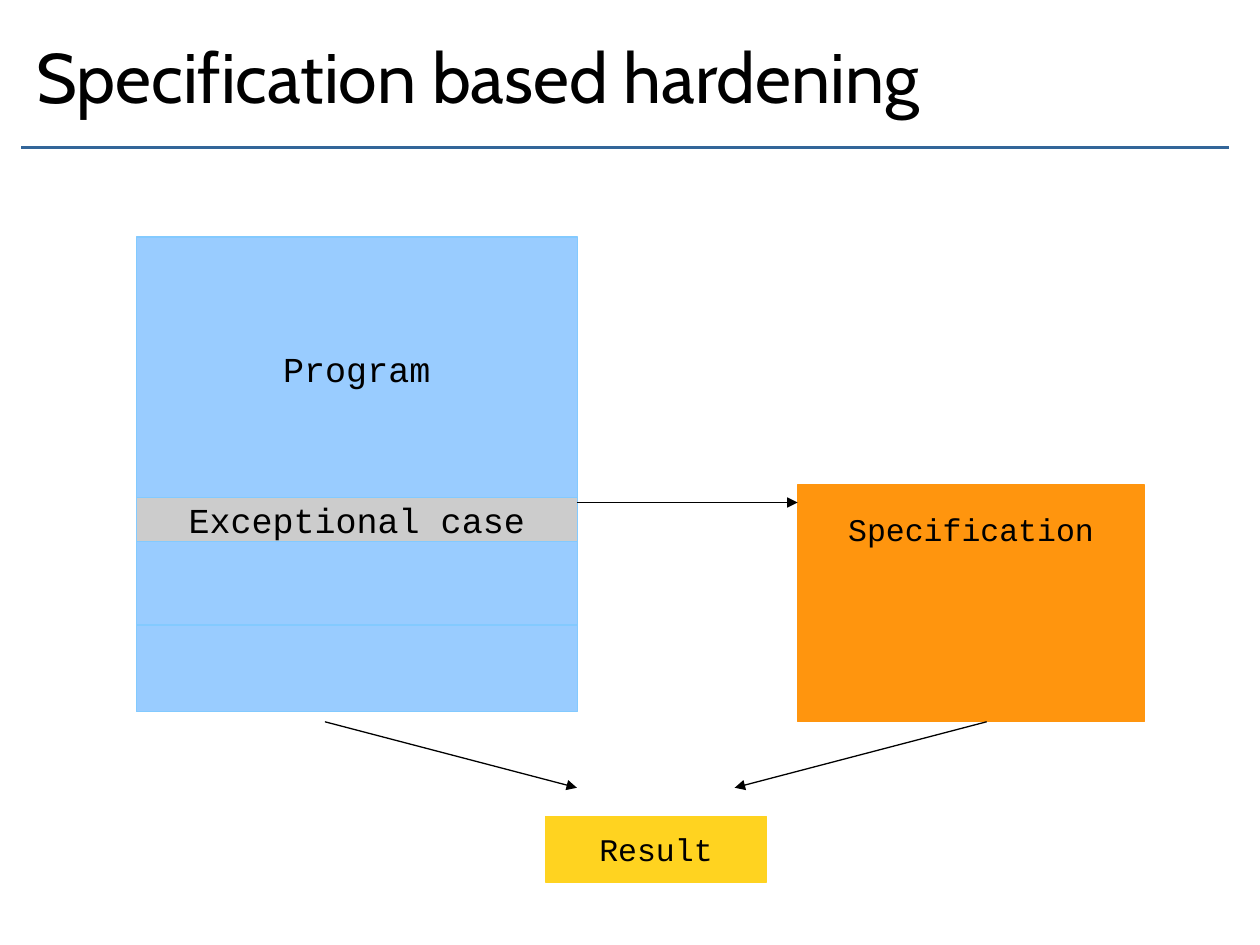
from dataclasses import dataclass

from lxml import etree
from pptx import Presentation
from pptx.dml.color import RGBColor
from pptx.enum.shapes import MSO_CONNECTOR, MSO_SHAPE
from pptx.enum.text import MSO_ANCHOR, PP_ALIGN
from pptx.oxml.ns import qn
from pptx.util import Cm, Pt

RECT = MSO_SHAPE.RECTANGLE
STRAIGHT = MSO_CONNECTOR.STRAIGHT
MIDDLE = MSO_ANCHOR.MIDDLE
CENTER = PP_ALIGN.CENTER


@dataclass(frozen=True)
class Theme:
    black: str = "000000"
    rule: str = "336699"
    blue: str = "99CCFF"
    blue_edge: str = "83CAFF"
    grey: str = "CCCCCC"
    orange: str = "FF950E"
    yellow: str = "FFD320"
    title_font: str = "Cabin"
    label_font: str = "Courier New"
    title_size: int = 40
    large: int = 20
    small: int = 18


theme = Theme()


def write(sp, text, font, size):
    tf = sp.text_frame
    tf.vertical_anchor = MIDDLE
    p = tf.paragraphs[0]
    p.text = text
    p.font.name = font
    p.font.size = Pt(size)
    p.font.color.rgb = RGBColor.from_string(theme.black)
    return p


def add_line(x1, y1, x2, y2, color, width, arrow=False):
    c = s.shapes.add_connector(STRAIGHT, Cm(x1), Cm(y1), Cm(x2), Cm(y2))
    c.line.color.rgb = RGBColor.from_string(color)
    c.line.width = Pt(width)
    if arrow:
        etree.SubElement(c.line._get_or_add_ln(), qn("a:tailEnd"), type="triangle")
    etree.SubElement(c._element.spPr, qn("a:effectLst"))


prs = Presentation()
prs.slide_width, prs.slide_height = Cm(25.4), Cm(19.05)
s = prs.slides.add_slide(prs.slide_layouts[6])

# Title and rule
add_line(0.43, 2.97, 24.77, 2.97, theme.rule, 2)
sp = s.shapes.add_textbox(Cm(0.48), Cm(0), Cm(22.86), Cm(3.05))
sp.text_frame.word_wrap = True
write(sp, "Specification based hardening", theme.title_font, theme.title_size)

# Columns: left, width, edge colour, then blocks of top, height, fill, label, size
columns = [
    (2.75, 8.89, theme.blue_edge, [
        (4.78, 5.28, theme.blue, "Program", theme.large),
        (10.9, 1.75, theme.blue, "", theme.large),
        (10.03, 0.89, theme.grey, "Exceptional case", theme.large),
        (12.6, 1.75, theme.blue, "", theme.large),
    ]),
    (16.08, 6.99, theme.orange, [
        (9.78, 1.75, theme.orange, "Specification", theme.small),
        (11.53, 1.32, theme.orange, "", theme.small),
        (12.8, 1.75, theme.orange, "", theme.small),
    ]),
    (11, 4.45, theme.yellow, [
        (16.46, 1.32, theme.yellow, "Result", theme.small),
    ]),
]
for left, width, edge, blocks in columns:
    for top, height, fill, label, size in blocks:
        sp = s.shapes.add_shape(RECT, Cm(left), Cm(top), Cm(width), Cm(height))
        sp.shadow.inherit = False
        sp.fill.solid()
        sp.fill.fore_color.rgb = RGBColor.from_string(fill)
        sp.line.color.rgb = RGBColor.from_string(edge)
        sp.line.width = Pt(0.75)
        if label:
            sp.text_frame.word_wrap = False
            write(sp, label, theme.label_font, size).alignment = CENTER

# Arrows: program to specification, then both to result
for ends in [
    (11.63, 10.13, 16.08, 10.13),
    (6.55, 14.55, 11.63, 15.88),
    (19.89, 14.55, 14.81, 15.88),
]:
    add_line(*ends, theme.black, 0.75, arrow=True)

prs.save("out.pptx")
